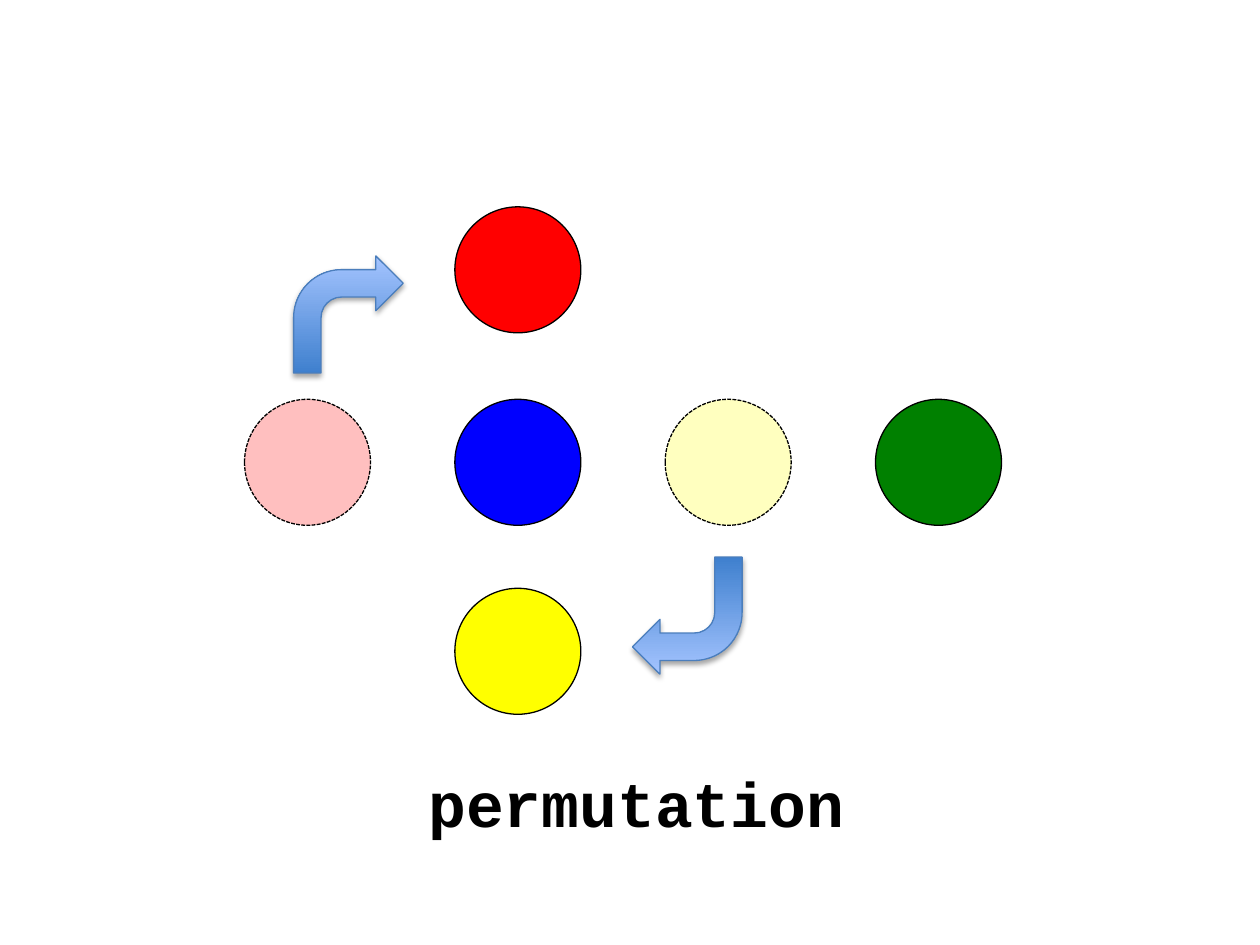
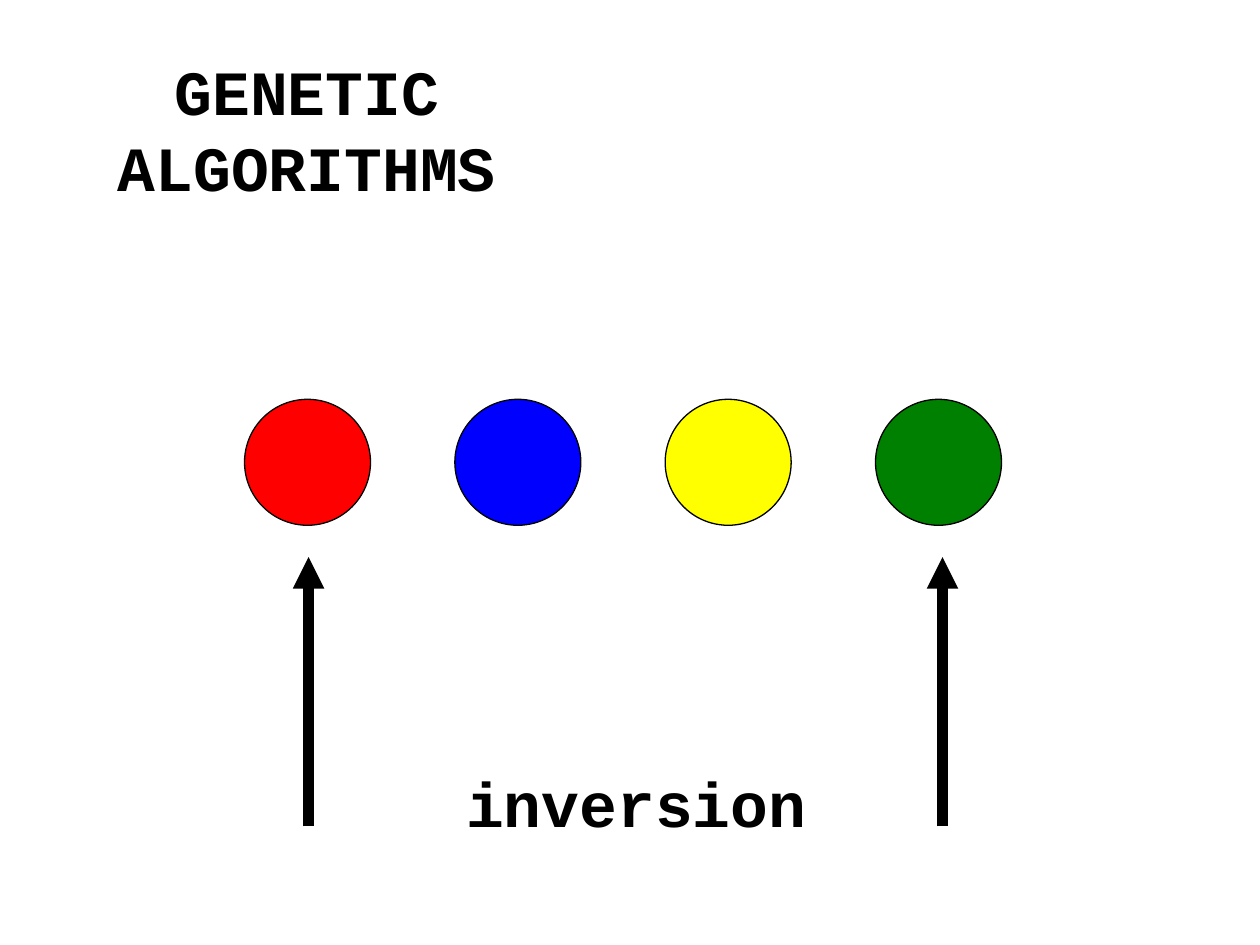
from dataclasses import dataclass
from lxml.etree import SubElement
from pptx import Presentation
from pptx.dml.color import RGBColor
from pptx.enum.dml import MSO_LINE_DASH_STYLE as Dash
from pptx.enum.shapes import MSO_CONNECTOR as Connector, MSO_SHAPE as Shape
from pptx.enum.text import MSO_ANCHOR as Anchor, MSO_AUTO_SIZE as AutoSize, PP_ALIGN as Align
from pptx.oxml.ns import qn
from pptx.util import Cm, Pt


@dataclass(frozen=True)
class Theme:
    font: str = "Courier New"
    text_size: float = 36
    outline: float = 0.75
    pointer_width: float = 6
    black: str = "000000"
    red: str = "FF0000"
    blue: str = "0000FF"
    yellow: str = "FFFF00"
    green: str = "008000"
    arrow_start: str = "3F80CE"
    arrow_end: str = "A4C4FF"
    arrow_line: str = "4B7EBC"


THEME = Theme()
GENES = [THEME.red, THEME.blue, THEME.yellow, THEME.green]
MOVED_GENES = {0: 4.17, 2: 11.86}
MOVED_TO = 1
BENT_ARROWS = [(5.92, 5.16, 0), (12.75, 11.23, 180)]
POINTERS = [6.22, 19.0]
POINTER_SPAN = (16.66, 11.23)
TITLE = "GENETIC\vALGORITHMS"
TITLE_BOX = (0, 0.94, 12.37, 3.33)
CAPTION_BOX = (6.73, 15.29, 12.19, 1.8)
GENE_SIZE, GENE_PITCH = 2.54, 4.24
ROW_LEFT, ROW_TOP = 4.93, 8.05


def rgb(color):
    return RGBColor.from_string(color)


def add_child(parent, tag, **attributes):
    return SubElement(parent, qn(tag), {key: str(value) for key, value in attributes.items()})


def write(frame, text, size=THEME.text_size, color=THEME.black, bold=True, align=Align.CENTER):
    frame.word_wrap = True
    frame.auto_size = AutoSize.NONE
    frame.vertical_anchor = Anchor.TOP
    frame.text = text
    paragraph = frame.paragraphs[0]
    paragraph.alignment = align
    for run in paragraph.runs:
        run.font.name = THEME.font
        run.font.size = Pt(size)
        run.font.bold = bold
        run.font.color.rgb = rgb(color)


def add_gene(slide, column, color, top=ROW_TOP, ghost=False):
    left = ROW_LEFT + column * GENE_PITCH
    shape = slide.shapes.add_shape(Shape.OVAL, Cm(left), Cm(top), Cm(GENE_SIZE), Cm(GENE_SIZE))
    shape.shadow.inherit = False
    shape.fill.solid()
    shape.fill.fore_color.rgb = rgb(color)
    shape.line.color.rgb = rgb(THEME.black)
    shape.line.width = Pt(THEME.outline)
    if ghost:
        add_child(shape.fill._xPr.find(".//" + qn("a:srgbClr")), "a:alpha", val=25000)
        shape.line.dash_style = Dash.SQUARE_DOT


def add_bent_arrow(slide, left, top, rotation):
    shape = slide.shapes.add_shape(Shape.BENT_ARROW, Cm(left), Cm(top), Cm(2.21), Cm(2.36))
    shape.rotation = rotation
    shape.fill.gradient()
    shape.fill.gradient_angle = 90
    for stop, color in zip(shape.fill.gradient_stops, (THEME.arrow_start, THEME.arrow_end)):
        stop.color.rgb = rgb(color)
    shape.line.color.rgb = rgb(THEME.arrow_line)
    shape.line.width = Pt(THEME.outline)
    shape.shadow.inherit = False
    effects = shape._element.spPr.find(qn("a:effectLst"))
    shadow = add_child(effects, "a:outerShdw", blurRad=Pt(3.1), dist=Pt(1.8),
                       dir=5400000, rotWithShape=0)
    add_child(add_child(shadow, "a:srgbClr", val=THEME.black), "a:alpha", val=35000)


def add_pointer(slide, center):
    start, end = POINTER_SPAN
    connector = slide.shapes.add_connector(Connector.STRAIGHT, Cm(center), Cm(start), Cm(center), Cm(end))
    connector.line.color.rgb = rgb(THEME.black)
    connector.line.width = Pt(THEME.pointer_width)
    add_child(connector.line._get_or_add_ln(), "a:tailEnd", type="triangle")
    add_child(connector._element.spPr, "a:effectLst")


def add_caption(slide, text):
    box = slide.shapes.add_textbox(*map(Cm, CAPTION_BOX))
    write(box.text_frame, text)


def build_permutation(presentation):
    slide = presentation.slides.add_slide(presentation.slide_layouts[6])
    for column, color in enumerate(GENES):
        add_gene(slide, column, color, ghost=column in MOVED_GENES)
    for column, top in MOVED_GENES.items():
        add_gene(slide, MOVED_TO, GENES[column], top=top)
    for left, top, rotation in BENT_ARROWS:
        add_bent_arrow(slide, left, top, rotation)
    add_caption(slide, "permutation")


def build_inversion(presentation):
    slide = presentation.slides.add_slide(presentation.slide_layouts[5])
    title = slide.shapes.title
    title.left, title.top, title.width, title.height = map(Cm, TITLE_BOX)
    write(title.text_frame, TITLE)
    for column, color in enumerate(GENES):
        add_gene(slide, column, color)
    add_caption(slide, "inversion")
    for center in POINTERS:
        add_pointer(slide, center)


def main():
    presentation = Presentation()
    presentation.slide_width, presentation.slide_height = Cm(25.4), Cm(19.05)
    build_permutation(presentation)
    build_inversion(presentation)
    presentation.save("out.pptx")


if __name__ == "__main__":
    main()
